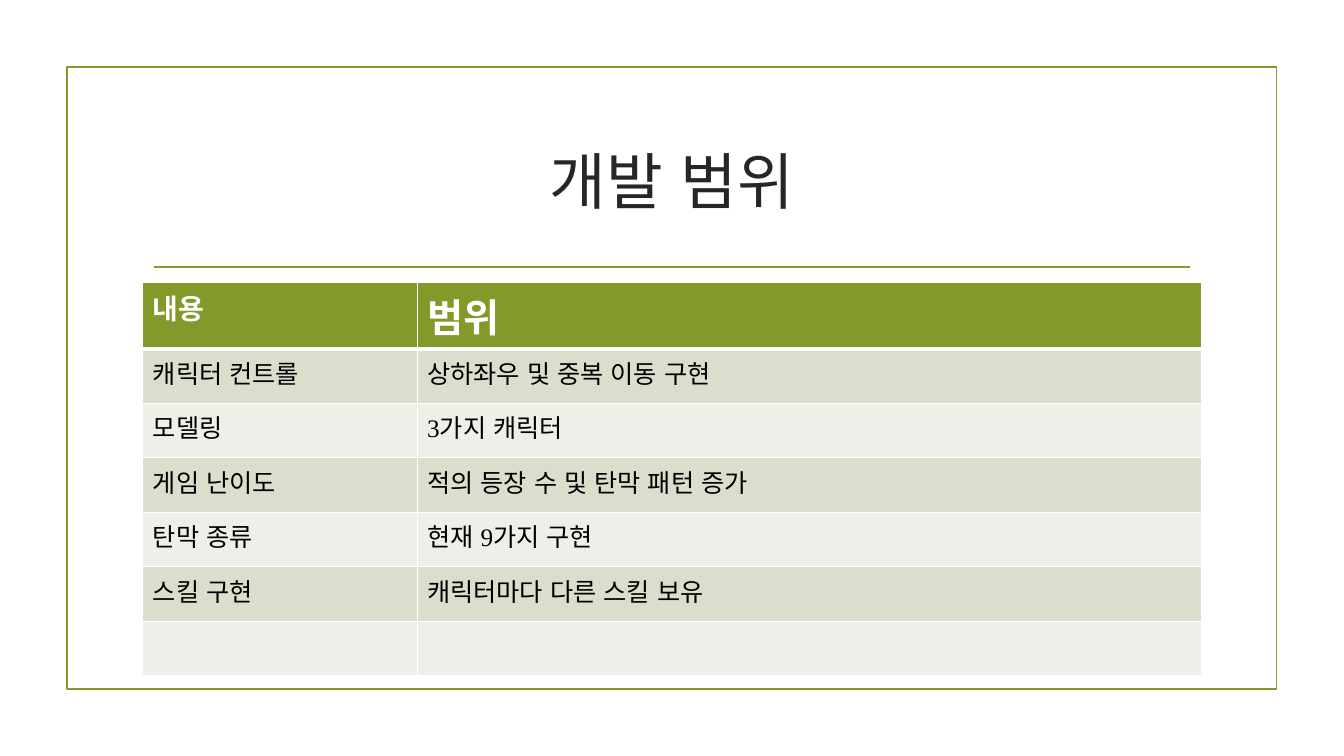
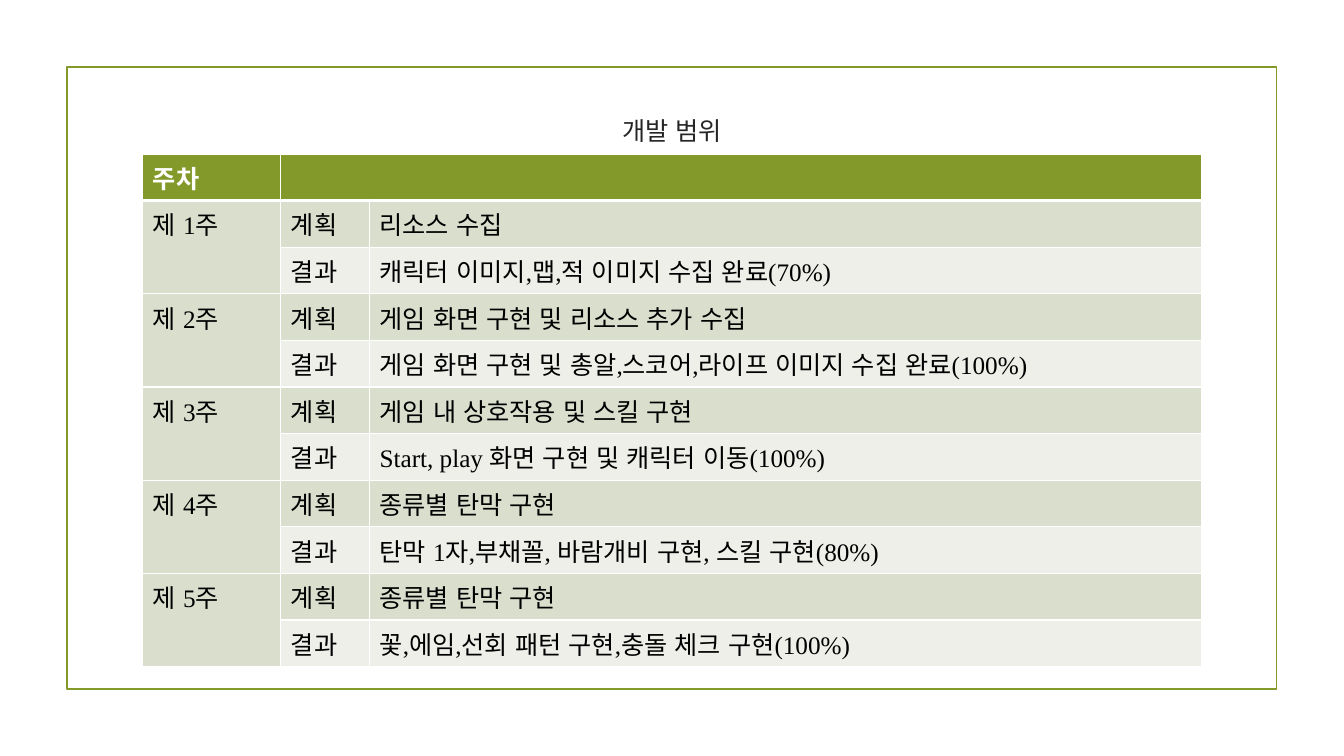
from lxml.etree import SubElement
from pptx import Presentation
from pptx.dml.color import RGBColor
from pptx.enum.lang import MSO_LANGUAGE_ID
from pptx.enum.shapes import MSO_CONNECTOR, MSO_SHAPE
from pptx.enum.text import MSO_ANCHOR, MSO_AUTO_SIZE, PP_ALIGN
from pptx.oxml import parse_xml
from pptx.oxml.ns import nsdecls, qn
from pptx.util import Pt

GREEN, WHITE, BLACK, TITLE_GREY = "83992A", "FFFFFF", "000000", "262626"
BANDS = ["EDEFE8", "D9DECD"]
LEFT, WIDTH = 102, 756


def color(value):
    return RGBColor.from_string(value)


def write(text_frame, text, text_color, **format_values):
    paragraph = text_frame.paragraphs[0]
    run = paragraph.add_run()
    run.text = text
    run.font.color.rgb = color(text_color)
    defaults = {"name": "Times New Roman", "size": Pt(18), "bold": False,
                "language_id": MSO_LANGUAGE_ID.KOREAN}
    for attribute, value in (defaults | format_values).items():
        setattr(run.font, attribute, value)
    return paragraph


scope_rows = [
    ["내용", "범위"],
    ["캐릭터 컨트롤", "상하좌우 및 중복 이동 구현"],
    ["모델링", "3가지 캐릭터"],
    ["게임 난이도", "적의 등장 수 및 탄막 패턴 증가"],
    ["탄막 종류", "현재 9가지 구현"],
    ["스킬 구현", "캐릭터마다 다른 스킬 보유"],
    ["", ""],
]

weekly_work = [
    ("리소스 수집", "캐릭터 이미지,맵,적 이미지 수집 완료(70%)"),
    ("게임 화면 구현 및 리소스 추가 수집",
     "게임 화면 구현 및 총알,스코어,라이프 이미지 수집 완료(100%)"),
    ("게임 내 상호작용 및 스킬 구현", "Start, play 화면 구현 및 캐릭터 이동(100%)"),
    ("종류별 탄막 구현", "탄막 1자,부채꼴, 바람개비 구현, 스킬 구현(80%)"),
    ("종류별 탄막 구현", "꽃,에임,선회 패턴 구현,충돌 체크 구현(100%)"),
]
week_rows = [["주차", "", ""]]
for week, (plan, result) in enumerate(weekly_work, start=1):
    week_rows += [[f"제 {week}주", "계획", plan], ["", "결과", result]]

# Merges are pairs of (row, column) corners
week_merges = [((0, 1), (0, 2))]
week_merges += [((row, 0), (row + 1, 0)) for row in range(1, len(week_rows), 2)]

pages = [
    {"title_height": 103, "title_size": 44, "table_top": 201.6, "rows": scope_rows,
     "columns": [196, 560], "header_height": 47, "row_height": 38.9,
     "header_sizes": [20, 28], "merges": [], "has_rule": True},
    {"title_height": 33, "title_size": 18, "table_top": 110, "rows": week_rows,
     "columns": [98.6, 63.4, 594], "header_height": 33.2, "row_height": 33.2,
     "header_sizes": [18, 18, 18], "merges": week_merges, "has_rule": False},
]

presentation = Presentation()
presentation.slide_width, presentation.slide_height = Pt(960), Pt(540)
layout = presentation.slide_layouts[5]

for page in pages:
    slide = presentation.slides.add_slide(layout)

    if page is pages[0]:
        # The frame moves to the layout, so every slide shows it
        frame = slide.shapes.add_shape(MSO_SHAPE.RECTANGLE, Pt(47.8), Pt(48), Pt(864), Pt(444))
        frame.shadow.inherit = False
        frame.fill.background()
        frame.line.color.rgb = color(GREEN)
        frame.line.width = Pt(1.25)
        layout.shapes.element.insert(2, frame.element)

    title = slide.shapes.title
    title.left, title.top = Pt(LEFT), Pt(77)
    title.width, title.height = Pt(WIDTH), Pt(page["title_height"])
    title.text_frame.auto_size = MSO_AUTO_SIZE.NONE
    title.text_frame.vertical_anchor = MSO_ANCHOR.MIDDLE
    heading = write(title.text_frame, "개발 범위", TITLE_GREY, size=Pt(page["title_size"]))
    heading.alignment = PP_ALIGN.CENTER

    if page["has_rule"]:
        rule = slide.shapes.add_connector(
            MSO_CONNECTOR.STRAIGHT, Pt(110), Pt(190.8), Pt(850), Pt(190.8))
        rule.line.color.rgb = color(GREEN)
        rule.line.width = Pt(1.25)
        SubElement(rule.element.spPr, qn("a:effectLst"))

    rows, columns = page["rows"], page["columns"]
    heights = [page["header_height"]] + [page["row_height"]] * (len(rows) - 1)
    table = slide.shapes.add_table(
        len(rows), len(columns), Pt(LEFT), Pt(page["table_top"]),
        Pt(WIDTH), Pt(sum(heights))).table
    for column, width in zip(table.columns, columns):
        column.width = Pt(width)

    for row_index, texts in enumerate(rows):
        table.rows[row_index].height = Pt(heights[row_index])
        is_header = row_index == 0
        for column_index, text in enumerate(texts):
            cell = table.cell(row_index, column_index)
            cell.fill.solid()
            cell.fill.fore_color.rgb = color(GREEN if is_header else BANDS[row_index % 2])
            if text:
                size = page["header_sizes"][column_index] if is_header else 18
                write(cell.text_frame, text, WHITE if is_header else BLACK,
                      size=Pt(size), bold=is_header)

            borders = {"lnL": 1, "lnR": 1, "lnT": 3 if row_index == 1 else 1,
                       "lnB": 3 if is_header else 1}
            for position, (side, width) in enumerate(borders.items()):
                cell._tc.get_or_add_tcPr().insert(position, parse_xml(
                    f'<a:{side} {nsdecls("a")} w="{Pt(width)}"><a:solidFill>'
                    f'<a:srgbClr val="{WHITE}"/></a:solidFill></a:{side}>'))

    for first, last in page["merges"]:
        table.cell(*first).merge(table.cell(*last))

presentation.save("out.pptx")
